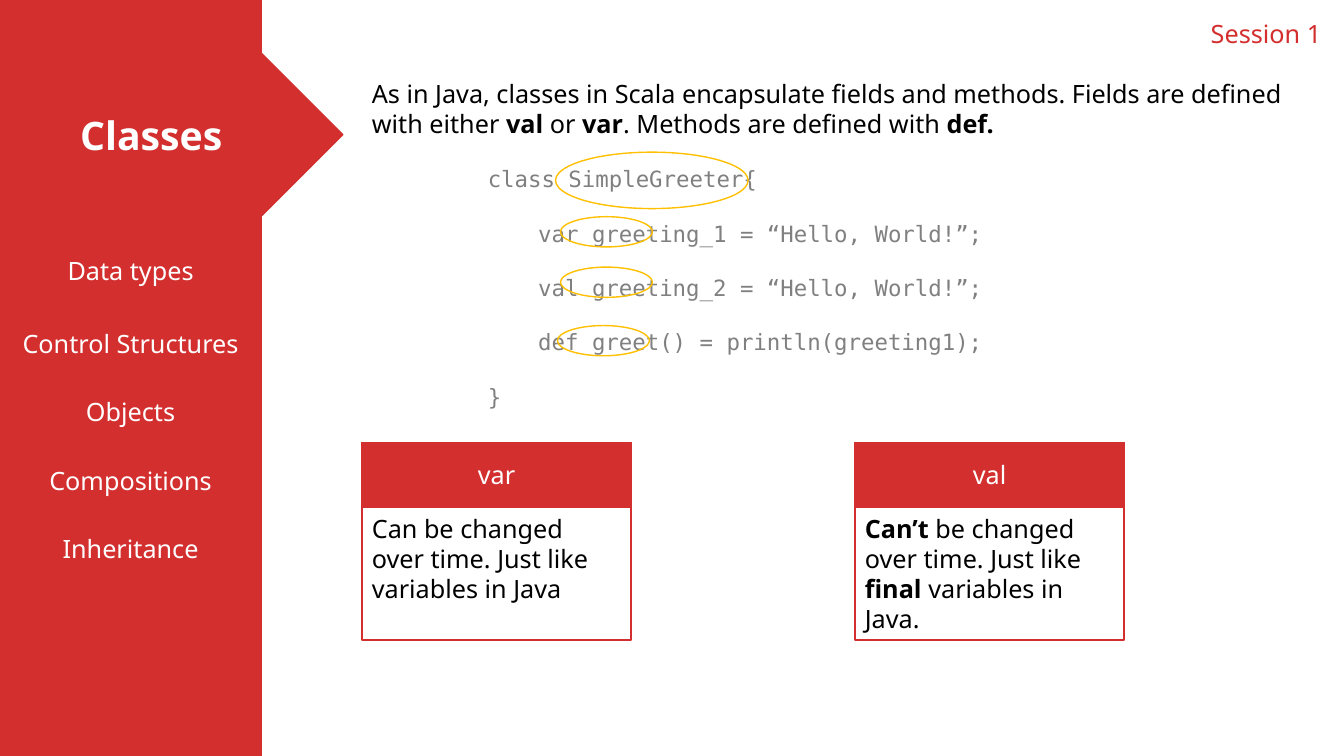
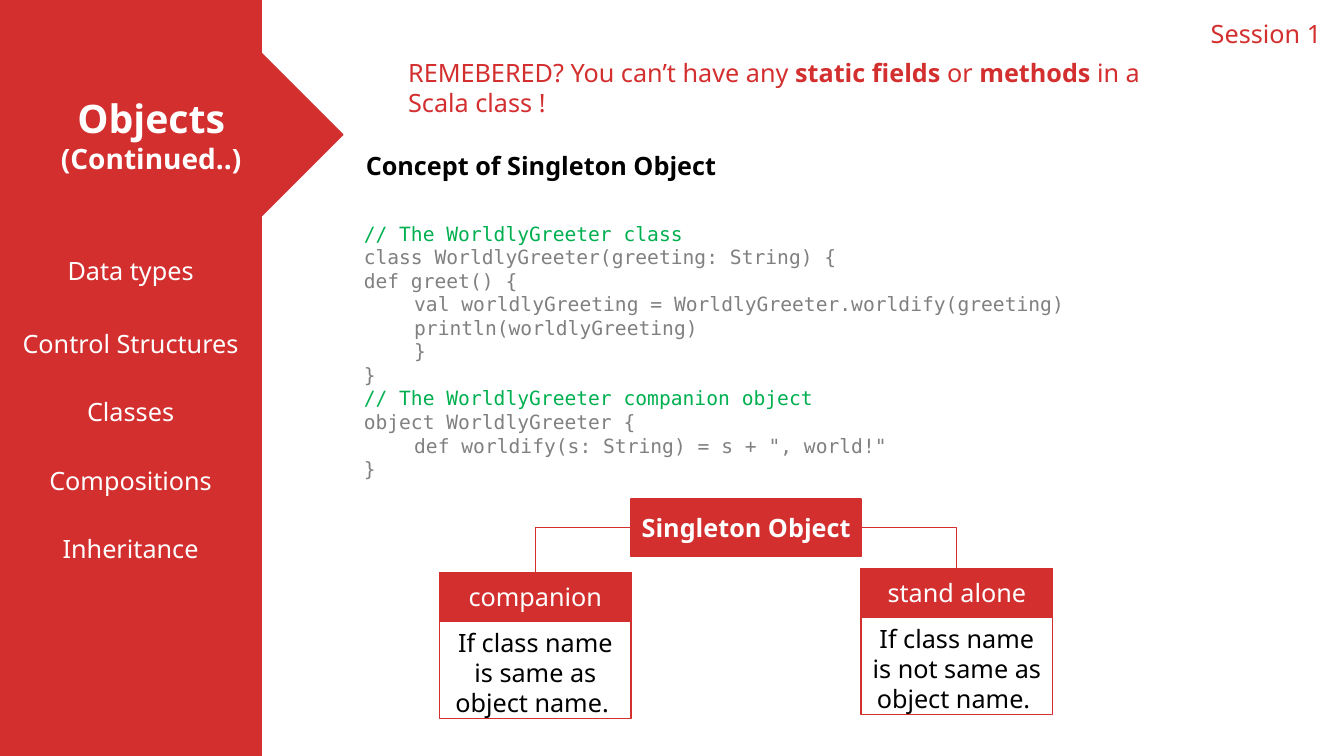
from lxml import etree
from pptx import Presentation
from pptx.dml.color import RGBColor
from pptx.enum import shapes, text
from pptx.oxml.ns import qn
from pptx.util import Inches, Pt

COLORS = {
    "red": "D32F2F",
    "white": "FFFFFF",
    "black": "000000",
    "code": "808080",
    "comment": "00B050",
    "highlight": "FFC000",
}
BODY_FONT = "Noto Sans"
CODE_FONT = "DejaVu Sans Mono"
SIDEBAR_WIDTH = 2.59
TITLE_TOP, TITLE_HEIGHT = 0.53, 1.61
MENU_TOPS = [2.48] + [3.21 + 0.677 * step for step in range(4)]

GREETER_CLASS = [
    "class SimpleGreeter{",
    "\tvar greeting_1 = “Hello, World!”;",
    "\tval greeting_2 = “Hello, World!”;",
    "\tdef greet() = println(greeting1);",
    "}",
]
COMPANION_CODE = [
    "// The WorldlyGreeter class",
    "class WorldlyGreeter(greeting: String) {",
    "def greet() {",
    "\tval worldlyGreeting = WorldlyGreeter.worldify(greeting)",
    "\tprintln(worldlyGreeting)",
    "\t}",
    "}",
    "// The WorldlyGreeter companion object",
    "object WorldlyGreeter {",
    "\tdef worldify(s: String) = s + \", world!\"",
    "}",
]


def rgb(name):
    return RGBColor.from_string(COLORS[name])


def box(*lengths):
    return [Inches(length) for length in lengths]


def style_run(run, color, size, bold=False, font=BODY_FONT):
    run.font.name = font
    run.font.size = Pt(size)
    run.font.bold = bold
    run.font.color.rgb = rgb(color)


def write(paragraph, words, color="black", size=18, centred=False):
    paragraph.alignment = text.PP_ALIGN.CENTER if centred else text.PP_ALIGN.LEFT
    for index, part in enumerate(words.split("**")):
        if part:
            run = paragraph.add_run()
            run.text = part
            style_run(run, color, size, bold=index % 2 == 1)


def add_label(slide, at, words, color="black", centred=False):
    label = slide.shapes.add_textbox(*box(*at))
    label.text_frame.word_wrap = True
    write(label.text_frame.paragraphs[0], words, color, centred=centred)


def add_block(slide, kind, at, fill="red", line="red", words=""):
    block = slide.shapes.add_shape(kind, *box(*at))
    block.shadow.inherit = False
    if fill:
        block.fill.solid()
        block.fill.fore_color.rgb = rgb(fill)
    else:
        block.fill.background()
    block.line.color.rgb = rgb(line)
    block.line.width = Pt(1)
    if words:
        block.text_frame.vertical_anchor = text.MSO_ANCHOR.MIDDLE
        write(block.text_frame.paragraphs[0], words, "white", centred=True)
    return block


def add_code(slide, at, lines, size, gap=0):
    code = slide.shapes.add_textbox(*box(*at)).text_frame
    code.word_wrap = True
    code.text = "\n".join(lines)
    for paragraph in code.paragraphs:
        paragraph.space_after = Pt(gap)
        color = "comment" if paragraph.text.startswith("//") else "code"
        for run in paragraph.runs:
            style_run(run, color, size, font=CODE_FONT)


def add_card(slide, at, header_height, heading, body, body_height, centred=False):
    left, top, width, height = at
    rectangle = shapes.MSO_SHAPE.RECTANGLE
    add_block(slide, rectangle, at, fill="white")
    header = add_block(slide, rectangle, (left, top, width, header_height), words=heading)
    body_at = (left, top + header_height + 0.01, width, body_height)
    add_label(slide, body_at, body, centred=centred)
    return header


def add_branch(slide, parent, side, child):
    branch = slide.shapes.add_connector(shapes.MSO_CONNECTOR.ELBOW, 0, 0, 0, 0)
    branch.begin_connect(parent, side)
    branch.end_connect(child, 0)
    branch.line.color.rgb = rgb("red")
    branch.line.width = Pt(0.5)
    properties = branch._element.spPr
    properties.find(qn("a:prstGeom")).set("prst", "bentConnector2")
    etree.SubElement(properties, qn("a:effectLst"))


def add_title(slide, title_lines):
    title = slide.shapes.title
    title.left, title.top, title.width, title.height = box(0, TITLE_TOP, 3, TITLE_HEIGHT)
    frame = title.text_frame
    frame.auto_size = text.MSO_AUTO_SIZE.NONE
    frame.vertical_anchor = text.MSO_ANCHOR.MIDDLE
    frame.text = "\n".join(title_lines)
    for paragraph, size in zip(frame.paragraphs, (28, 20)):
        paragraph.alignment = text.PP_ALIGN.CENTER
        style_run(paragraph.runs[0], "white", size, bold=True)
    slide.shapes._spTree.append(title._element)


def add_topic_slide(deck, title_lines, third_topic):
    slide = deck.slides.add_slide(deck.slide_layouts[5])
    add_block(slide, shapes.MSO_SHAPE.RECTANGLE, (0, 0, SIDEBAR_WIDTH, 7.5))
    add_label(slide, (11.91, 0.13, 1.42, 0.4), "Session 1", "red")
    add_block(slide, shapes.MSO_SHAPE.RIGHT_ARROW, (0, TITLE_TOP, 3.4, TITLE_HEIGHT))
    add_title(slide, title_lines)
    topics = ["Data types", "Control Structures", third_topic, "Compositions", "Inheritance"]
    for topic, top in zip(topics, MENU_TOPS):
        add_label(slide, (0, top, SIDEBAR_WIDTH, 0.4), topic, "white", centred=True)
    return slide


def build_classes(deck):
    slide = add_topic_slide(deck, ["Classes"], "Objects")
    add_label(
        slide, (3.59, 0.73, 9.49, 0.71),
        "As in Java, classes in Scala encapsulate fields and methods. Fields are defined "
        "with either **val** or **var**. Methods are defined with **def.**")
    add_code(slide, (4.74, 1.59, 6.73, 2.52), GREETER_CLASS, 16, gap=19.7)
    keyword_marks = [(5.51, 1.51, 1.91, 0.56)]
    keyword_marks += [(left, top, 0.91, 0.3)
                      for left, top in ((5.56, 2.15), (5.56, 2.65), (5.53, 3.23))]
    for mark in keyword_marks:
        add_block(slide, shapes.MSO_SHAPE.OVAL, mark, fill=None, line="highlight")
    cards = [
        (3.59, "var", "Can be changed over time. Just like variables in Java", 1.01),
        (8.48, "val", "**Can’t** be changed over time. Just like **final **variables in Java.", 1.31),
    ]
    for left, keyword, meaning, height in cards:
        add_card(slide, (left, 4.39, 2.67, 1.96), 0.64, keyword, meaning, height)


def build_objects(deck):
    slide = add_topic_slide(deck, ["Objects", "(Continued..)"], "Classes")
    add_label(
        slide, (3.95, 0.52, 7.86, 0.71),
        "REMEBERED? You can’t have any **static \ufb01elds **or **methods **in a Scala class !",
        "red")
    add_label(slide, (3.53, 1.44, 3.87, 0.4), "**Concept of Singleton Object**")
    add_code(slide, (3.51, 2.15, 9.43, 2.93), COMPANION_CODE, 14)
    singleton = add_block(slide, shapes.MSO_SHAPE.RECTANGLE, (6.26, 4.95, 2.28, 0.57),
                          words="**Singleton Object**")
    singleton.text_frame.word_wrap = False
    kinds = [
        (4.36, 5.68, "companion", "If class name is same as object name. ", 1),
        (8.54, 5.64, "stand alone", "If class name is not same as object name. ", 3),
    ]
    for left, top, kind, rule, side in kinds:
        header = add_card(slide, (left, top, 1.9, 1.45), 0.48, kind, rule, 1.01, centred=True)
        add_branch(slide, singleton, side, header)


def main():
    deck = Presentation()
    deck.slide_width, deck.slide_height = box(13.33, 7.5)
    build_classes(deck)
    build_objects(deck)
    deck.save("out.pptx")


main()
